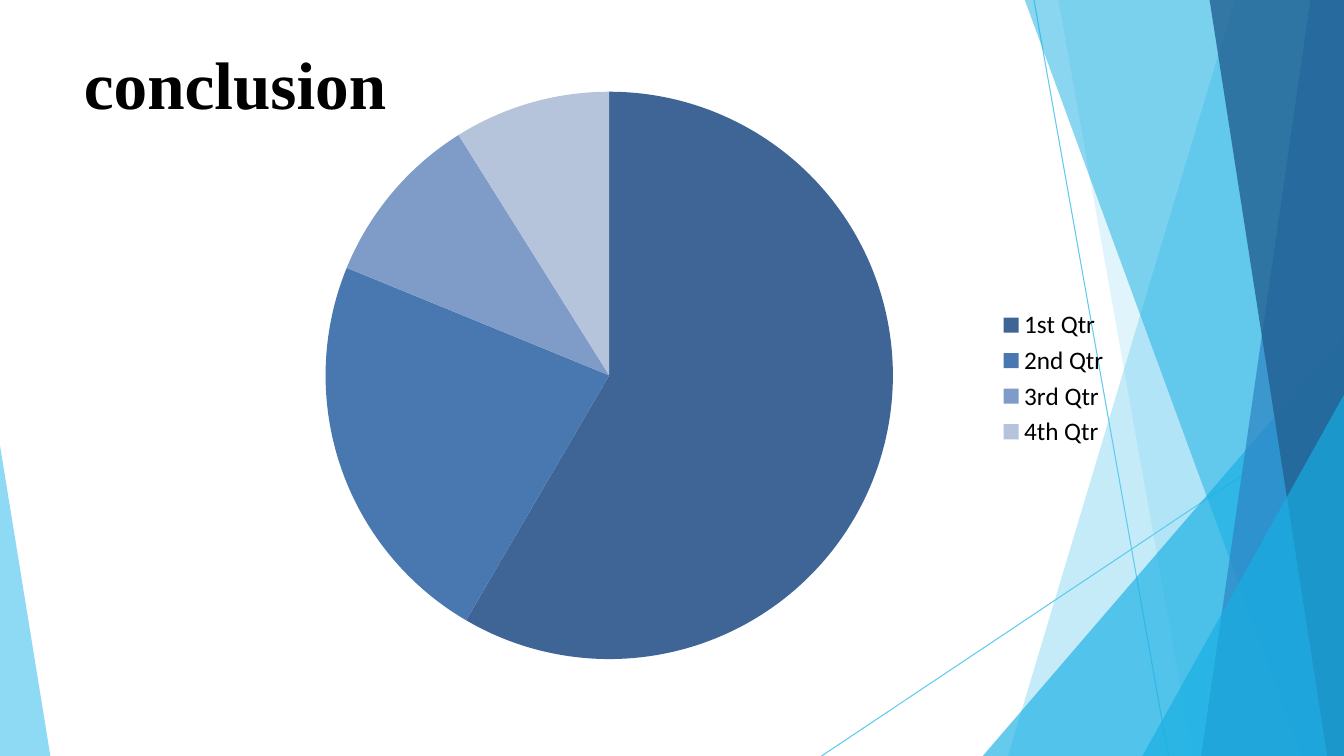
import dataclasses

import lxml.etree
import pptx
import pptx.chart.data
import pptx.dml.color
import pptx.enum.chart
import pptx.enum.shapes
import pptx.enum.text
import pptx.oxml
import pptx.oxml.ns
import pptx.util

COLUMNS, ROWS = 160, 90
CELL = pptx.util.Inches(1 / 12)
COLORS = {
    "sky": "5FCAEE", "cyan": "17AFE3", "blue": "2D83C3", "navy": "226192",
    "text": "000000", "first": "3F6596", "second": "4978B1",
    "third": "7F9BC8", "fourth": "B5C3DB",
}


@dataclasses.dataclass(frozen=True)
class Ray:
    start: tuple[float, float]
    end: tuple[float, float]


@dataclasses.dataclass(frozen=True)
class Facet:
    points: tuple[tuple[float, float], ...]
    color: str
    opacity: int


@dataclasses.dataclass(frozen=True)
class Quarter:
    name: str
    value: int
    color: str


def right_band(top: float, bottom: float, color: str, opacity: int) -> Facet:
    corners = ((COLUMNS, 0), (top, 0), (bottom, ROWS), (COLUMNS, ROWS))
    return Facet(corners, color, opacity)


def right_wedge(row: float, column: float) -> Facet:
    return Facet(((COLUMNS, row), (column, ROWS), (COLUMNS, ROWS)), "cyan", 66)


RAYS = (Ray((123.1, 0), (139.1, ROWS)), Ray((COLUMNS, 48.5), (97.8, ROWS)))
FACETS = (
    right_band(147.4, 120.5, "sky", 36),
    right_band(126, 141.8, "sky", 20),
    right_wedge(40, 117.2),
    right_band(122.5, 154.9, "cyan", 50),
    right_band(156.4, 143, "blue", 70),
    right_band(143.5, 158.2, "navy", 80),
    right_wedge(47.2, 136.1),
    Facet(((0, 52.7), (0, ROWS), (5.9, ROWS)), "sky", 70),
)
QUARTERS = (
    Quarter("1st Qtr", 59, "first"),
    Quarter("2nd Qtr", 23, "second"),
    Quarter("3rd Qtr", 10, "third"),
    Quarter("4th Qtr", 9, "fourth"),
)


def cells(*counts: float) -> list[int]:
    return [round(count * CELL) for count in counts]


def rgb(name: str) -> pptx.dml.color.RGBColor:
    return pptx.dml.color.RGBColor.from_string(COLORS[name])


def draw_ray(page, ray: Ray) -> None:
    connector = page.shapes.add_connector(
        pptx.enum.shapes.MSO_CONNECTOR.STRAIGHT, *cells(*ray.start, *ray.end))
    connector.line.color.rgb = rgb("sky")
    connector.line.width = pptx.util.Pt(0.75)
    lxml.etree.SubElement(
        connector._element.spPr, pptx.oxml.ns.qn("a:effectLst"))


def draw_facet(page, facet: Facet) -> None:
    builder = page.shapes.build_freeform(*facet.points[0], scale=CELL)
    builder.add_line_segments(facet.points[1:], close=True)
    shape = builder.convert_to_shape()
    shape.shadow.inherit = False
    shape.line.fill.background()
    shape.fill.solid()
    shape.fill.fore_color.rgb = rgb(facet.color)
    color = shape._element.spPr.find(".//" + pptx.oxml.ns.qn("a:srgbClr"))
    alpha = lxml.etree.SubElement(color, pptx.oxml.ns.qn("a:alpha"))
    alpha.set("val", str(facet.opacity * 1000))


def draw_title(page) -> None:
    box = page.shapes.add_textbox(*cells(10, 5, 140.2, 10))
    frame = box.text_frame
    frame.word_wrap = True
    frame.auto_size = pptx.enum.text.MSO_AUTO_SIZE.SHAPE_TO_FIT_TEXT
    frame.margin_left = frame.margin_right = 0
    frame.margin_top = frame.margin_bottom = 0
    frame.text = "conclusion"
    font = frame.paragraphs[0].runs[0].font
    font.name = "Times New Roman"
    font.size = pptx.util.Pt(48)
    font.bold = True
    font.color.rgb = rgb("text")


def place_plot(chart) -> None:
    plot_area = chart._chartSpace.chart.plotArea
    for layout in plot_area.findall(pptx.oxml.ns.qn("c:layout")):
        plot_area.remove(layout)
    layout = pptx.oxml.parse_xml(
        f'<c:layout {pptx.oxml.ns.nsdecls("c")}><c:manualLayout>'
        '<c:layoutTarget val="inner"/><c:xMode val="edge"/>'
        '<c:yMode val="edge"/><c:x val="0.11"/><c:y val="0.02"/>'
        '<c:w val="0.64"/><c:h val="0.95"/>'
        '</c:manualLayout></c:layout>')
    plot_area.insert(0, layout)


def draw_pie(page) -> None:
    data = pptx.chart.data.CategoryChartData()
    data.categories = [quarter.name for quarter in QUARTERS]
    data.add_series("Series 1", [quarter.value for quarter in QUARTERS])
    chart = page.shapes.add_chart(
        pptx.enum.chart.XL_CHART_TYPE.PIE,
        *cells(26.67, 9.5, 106.67, 71.1), data).chart
    chart.has_title = False
    chart.font.name = "Calibri"
    chart.font.size = pptx.util.Pt(18)
    chart.font.color.rgb = rgb("text")
    chart.has_legend = True
    chart.legend.position = pptx.enum.chart.XL_LEGEND_POSITION.RIGHT
    chart.legend.include_in_layout = False
    plot = chart.plots[0]
    plot.vary_by_categories = True
    for index, quarter in enumerate(QUARTERS):
        point = plot.series[0].points[index]
        point.format.fill.solid()
        point.format.fill.fore_color.rgb = rgb(quarter.color)
        point.format.line.fill.background()
    place_plot(chart)


def main() -> None:
    deck = pptx.Presentation()
    deck.slide_width, deck.slide_height = cells(COLUMNS, ROWS)
    page = deck.slides.add_slide(deck.slide_layouts[6])
    for ray in RAYS:
        draw_ray(page, ray)
    for facet in FACETS:
        draw_facet(page, facet)
    draw_title(page)
    draw_pie(page)
    deck.save("out.pptx")


if __name__ == "__main__":
    main()
